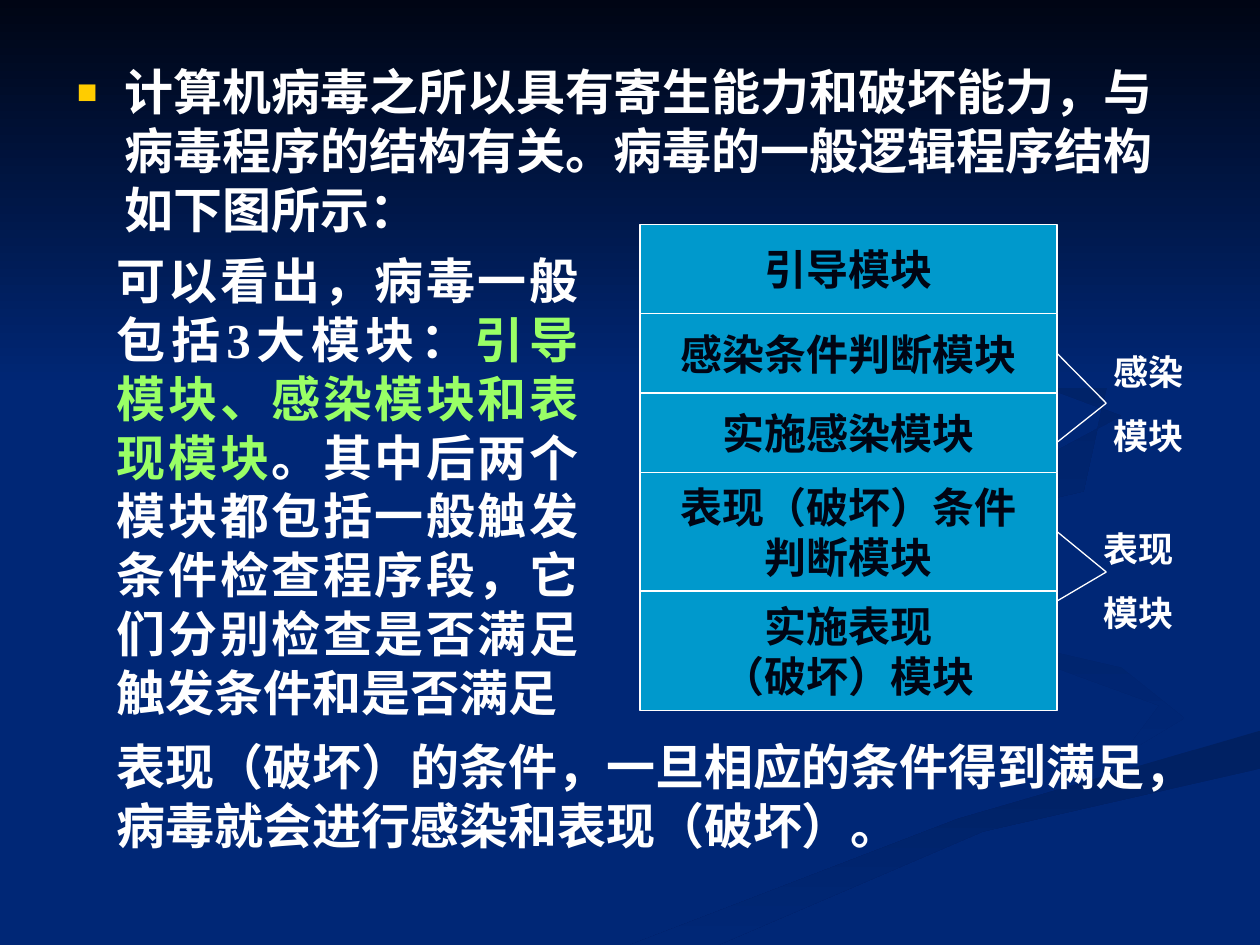
import pptx
import pptx.util
import pptx.dml.color
import pptx.enum.text
import pptx.enum.shapes
import pptx.oxml
import pptx.oxml.ns

FONT = "Times New Roman"
WHITE, INK, NAVY = "FFFFFF", "000514", "002776"
COLS = 100
ALIGN = pptx.enum.text.PP_ALIGN
SHAPE = pptx.enum.shapes.MSO_SHAPE

deck = pptx.Presentation()
deck.slide_width = pptx.util.Inches(10)
deck.slide_height = pptx.util.Inches(7.5)
CELL = deck.slide_width / COLS

SWIRLS = [
    ([(73, 47), (81, 52), (92, 56), (89, 60), (94, 57), (89, 53), (76, 50)], "00236B"),
    ([(50, 75), (57, 75), (78, 66), (100, 61), (100, 58), (76, 65)], "002061"),
    ([(62, 23), (89, 33), (76, 40), (58, 46), (62, 50), (60, 45), (86, 39), (88, 30)],
     "002164"),
]


def hue(code):
    return pptx.dml.color.RGBColor.from_string(code)


def span(*units):
    return [pptx.util.Emu(round(unit * CELL)) for unit in units]


def style(para, size, *tints):
    for run, tint in zip(para.runs, tints):
        run.font.size = pptx.util.Pt(size)
        run.font.name = FONT
        run.font.bold = True
        run.font.color.rgb = hue(tint)


def shade(shape, first, last):
    shape.shadow.inherit = False
    shape.line.fill.background()
    shape.fill.gradient()
    shape.fill.gradient_angle = 270
    for stop, tint in zip(shape.fill.gradient_stops, (first, last)):
        stop.color.rgb = hue(tint)


def edge(line):
    line.color.rgb = hue(WHITE)
    line.width = pptx.util.Pt(0.75)


def backdrop(slide, box):
    fill = slide.background.fill
    fill.solid()
    fill.fore_color.rgb = hue(NAVY)
    for points, tint in SWIRLS:
        form = slide.shapes.build_freeform(*points[0], scale=CELL)
        form.add_line_segments(points[1:], close=True)
        shade(form.convert_to_shape(), tint, NAVY)
    shade(slide.shapes.add_shape(SHAPE.RECTANGLE, *span(*box)), INK, NAVY)


def bullet(para, inset):
    props = para._p.get_or_add_pPr()
    props.set("marL", str(inset))
    props.set("indent", str(-inset))
    for tag, attrs in (("buClr", {}), ("buSzPct", {"val": "70000"}),
                       ("buChar", {"char": "■"})):
        node = props.makeelement(pptx.oxml.ns.qn("a:" + tag), attrs)
        props.append(node)
        if tag == "buClr":
            node.append(node.makeelement(pptx.oxml.ns.qn("a:srgbClr"), {"val": "FFCC00"}))


def intro(slide, box, words):
    title = slide.shapes.title._element
    title.getparent().remove(title)
    body = slide.placeholders[1]
    body.left, body.top, body.width, body.height = span(*box)
    frame = body.text_frame
    frame.text = words
    frame.auto_size = pptx.enum.text.MSO_AUTO_SIZE.NONE
    para = frame.paragraphs[0]
    bullet(para, round(3.8 * CELL))
    para.space_before = pptx.util.Pt(0)
    style(para, 28, WHITE)
    slide.shapes._spTree.append(body._element)


def note(slide, box, parts, align=ALIGN.LEFT):
    frame = slide.shapes.add_textbox(*span(*box)).text_frame
    frame.word_wrap = True
    para = frame.paragraphs[0]
    para.alignment = align
    for words, tint in parts:
        para.add_run().text = words
    style(para, 28, *(tint for words, tint in parts))


def stack(slide, box, items):
    left, top, width, height = box
    unit = height / sum(share for words, share in items)
    blocks = []
    for words, share in items:
        block = slide.shapes.add_shape(SHAPE.RECTANGLE,
                                       *span(left, top, width, share * unit))
        block.shadow.inherit = False
        block.fill.solid()
        block.fill.fore_color.rgb = hue("0099CC")
        edge(block.line)
        frame = block.text_frame
        frame.text = words
        frame.word_wrap = False
        frame.vertical_anchor = pptx.enum.text.MSO_ANCHOR.MIDDLE
        for para in frame.paragraphs:
            para.alignment = ALIGN.CENTER
            style(para, 24, INK)
        blocks.append(block)
        top += share * unit
    return blocks


def brace(slide, box, block, tip, foot, words):
    side = (block.left + block.width) / CELL
    for start, end in (((side, tip[1]), tip), (tip, (side, foot))):
        line = slide.shapes.add_connector(pptx.enum.shapes.MSO_CONNECTOR.STRAIGHT,
                                          *span(*start, *end))
        if end == tip:
            line.begin_connect(block, 3)
        edge(line.line)
        props = line._element.spPr
        props.append(props.makeelement(pptx.oxml.ns.qn("a:effectLst"), {}))
    frame = slide.shapes.add_textbox(*span(*box)).text_frame
    frame.word_wrap = True
    frame.text = words
    for rank, para in enumerate(frame.paragraphs):
        para.space_before = pptx.util.Pt(12.5 * rank)
        style(para, 20, WHITE)


def main():
    slide = deck.slides.add_slide(deck.slide_layouts[1])
    backdrop(slide, (0, 0, COLS, 30.8))
    intro(slide, (5.1, 4.4, 90, 59.4),
          "计算机病毒之所以具有寄生能力和破坏能力，与病毒程序的结构有关。"
          "病毒的一般逻辑程序结构如下图所示：")
    blocks = stack(slide, (50.8, 17.8, 33.1, 38.6), [
        ("引导模块", 7.1), ("感染条件判断模块", 6.3), ("实施感染模块", 6.3),
        ("表现（破坏）条件\n判断模块", 9.4), ("实施表现\n（破坏）模块", 9.5)])
    brace(slide, (87.4, 27.3, 12.6, 9.4), blocks[1], (87.8, 32), 35.1, "感染\n模块")
    brace(slide, (86.6, 41.4, 13.4, 9.4), blocks[3], (87.8, 45.4), 47.7, "表现\n模块")
    note(slide, (8.3, 19.4, 38.6, 38.4), [
        ("可以看出，病毒一般包括3大模块：", WHITE),
        ("引导模块、感染模块和表现模块", "99FF66"),
        ("。其中后两个模块都包括一般触发条件检查程序段，"
         "它们分别检查是否满足触发条件和是否满足", WHITE)], ALIGN.JUSTIFY)
    note(slide, (8.3, 58, 85.8, 10.4), [
        ("表现（破坏）的条件，一旦相应的条件得到满足，"
         "病毒就会进行感染和表现（破坏）。", WHITE)])
    deck.save("out.pptx")


if __name__ == "__main__":
    main()
